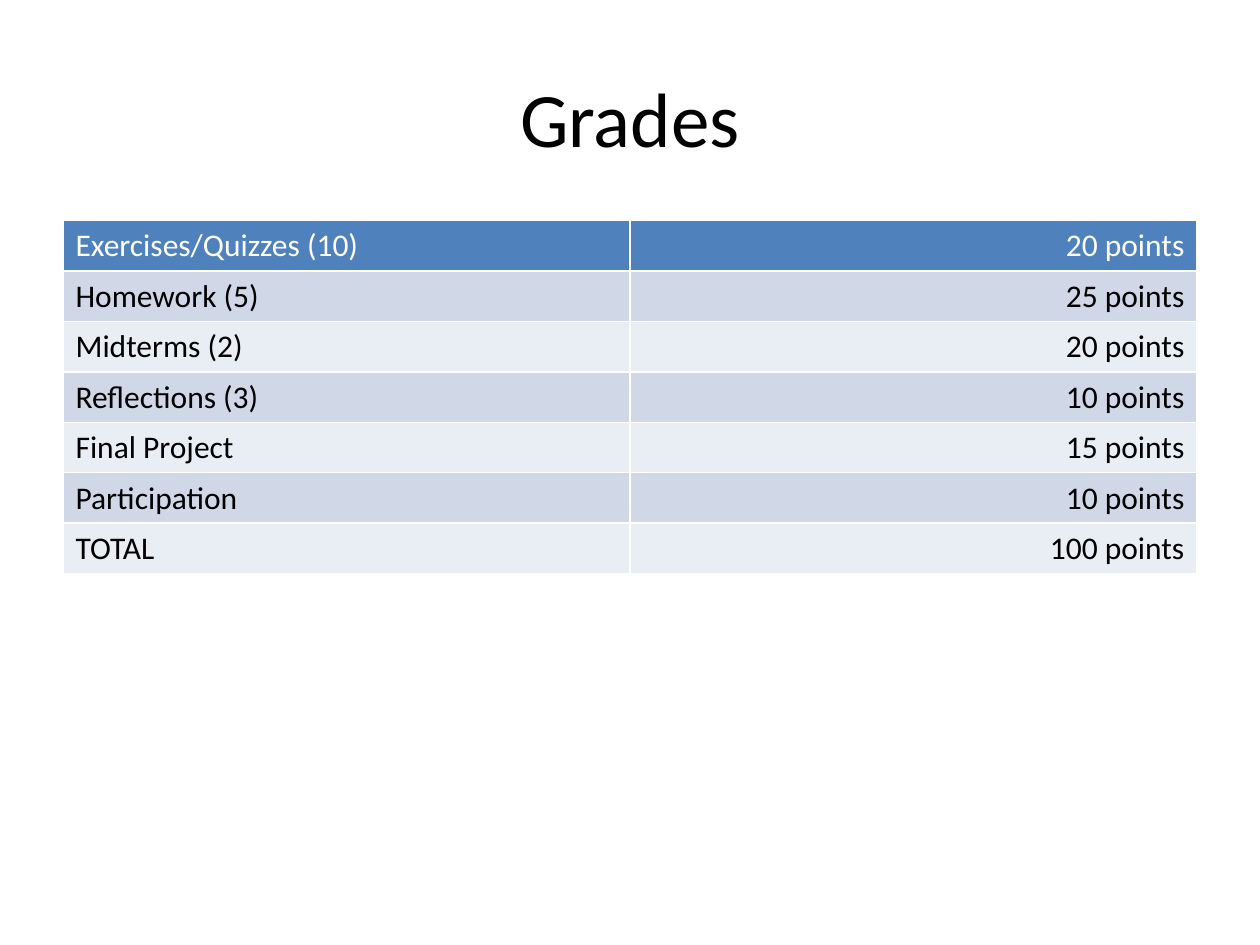
from lxml.etree import SubElement
from pptx import Presentation
from pptx.dml.color import RGBColor
from pptx.enum.text import MSO_ANCHOR, PP_ALIGN
from pptx.oxml.ns import qn
from pptx.util import Inches, Pt

HEADING = "Grades"
GRADES = [
    ("Exercises/Quizzes (10)", "20 points"),
    ("Homework (5)", "25 points"),
    ("Midterms (2)", "20 points"),
    ("Reflections (3)", "10 points"),
    ("Final Project", "15 points"),
    ("Participation", "10 points"),
    ("TOTAL", "100 points"),
]
ALIGNMENTS = (PP_ALIGN.LEFT, PP_ALIGN.RIGHT)

BLACK = RGBColor(0x00, 0x00, 0x00)
WHITE = RGBColor(0xFF, 0xFF, 0xFF)
HEADER_BLUE = RGBColor(0x4F, 0x81, 0xBD)
BANDS = (RGBColor(0xE9, 0xED, 0xF4), RGBColor(0xD0, 0xD8, 0xE8))

WIDTH, HEIGHT = Inches(10), Inches(7.5)
MARGIN = int(WIDTH * 0.05)
CONTENT_WIDTH = WIDTH - 2 * MARGIN
ROW_HEIGHT = Inches(0.4)


def write(frame, text, size=18, color=BLACK, align=PP_ALIGN.LEFT):
    paragraph = frame.paragraphs[0]
    paragraph.alignment = align
    run = paragraph.add_run()
    run.text = text
    run.font.name = "Calibri"
    run.font.size = Pt(size)
    run.font.bold = False
    run.font.color.rgb = color


def add_borders(cell, color=WHITE, width=1):
    properties = cell._tc.get_or_add_tcPr()
    for side in ("a:lnL", "a:lnR", "a:lnT", "a:lnB"):
        line = SubElement(properties, qn(side), w=str(Pt(width)))
        fill = SubElement(line, qn("a:solidFill"))
        SubElement(fill, qn("a:srgbClr"), val=str(color))


deck = Presentation()
deck.slide_width, deck.slide_height = WIDTH, HEIGHT
slide = deck.slides.add_slide(deck.slide_layouts[6])

heading = slide.shapes.add_textbox(
    MARGIN, int(HEIGHT * 0.04), CONTENT_WIDTH, Inches(1.25)
).text_frame
heading.word_wrap = True
heading.vertical_anchor = MSO_ANCHOR.MIDDLE
write(heading, HEADING, size=44, align=PP_ALIGN.CENTER)

grades = slide.shapes.add_table(
    len(GRADES), len(ALIGNMENTS), MARGIN, Inches(1.75),
    CONTENT_WIDTH, ROW_HEIGHT * len(GRADES),
).table

for row, entry in enumerate(GRADES):
    is_header = row == 0
    for column, (text, align) in enumerate(zip(entry, ALIGNMENTS)):
        cell = grades.cell(row, column)
        add_borders(cell)
        cell.fill.solid()
        cell.fill.fore_color.rgb = HEADER_BLUE if is_header else BANDS[row % 2]
        write(cell.text_frame, text, color=WHITE if is_header else BLACK, align=align)

deck.save("out.pptx")
